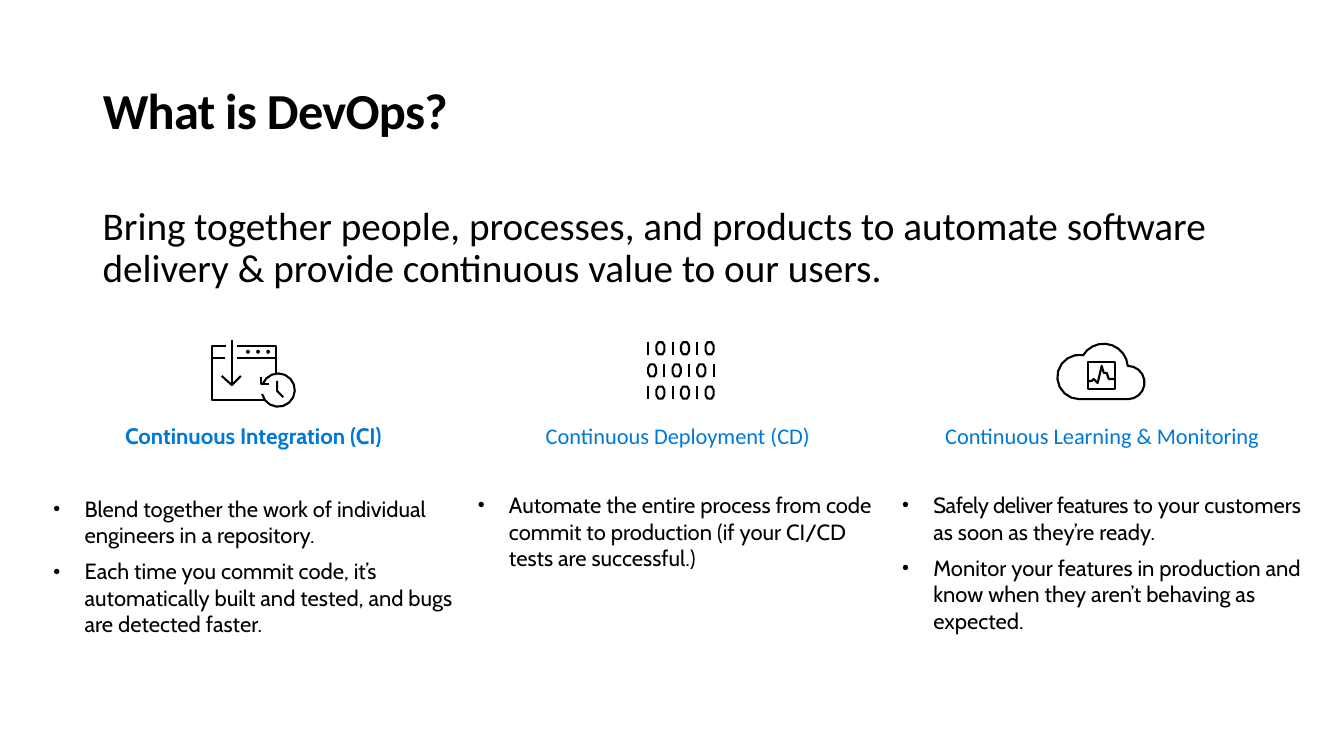
import math

import pptx
import pptx.dml.color
import pptx.enum.text
import pptx.util
from lxml import etree
from pptx.oxml.ns import qn
from pptx.util import Inches

COLORS = {"text": "000000", "heading": "0078D7", "paper": "FFFFFF"}
ALIGN = pptx.enum.text.PP_ALIGN
ANCHOR = pptx.enum.text.MSO_ANCHOR

COLUMN_LEFT, COLUMN_PITCH = 0.53, 4.21
PILLARS = [
    {
        "heading": "Continuous Integration (CI)",
        "style": {"font": "Cabin", "bold": True},
        "gap": 33,
        "height": 2.85,
        "bullets": [
            [("Blend together the work of individual engineers in a repository.", 0)],
            [("Each time you commit code, it’s automatically built and tested, "
              "and bugs are detected faster.", 0)],
        ],
    },
    {
        "heading": "Continuous Deployment (CD)",
        "style": {"font": "Calibri"},
        "gap": 30.3,
        "height": 2.85,
        "bullets": [
            [("Automate the entire process from code commit to production "
              "(if your CI/CD tests are successful.)", 0)],
        ],
    },
    {
        "heading": "Continuous Learning & Monitoring",
        "style": {"font": "Calibri"},
        "gap": 30.3,
        "height": 2.11,
        "bullets": [
            [("Safely deliver features", -0.3),
             (" to your customers as soon as they’re ready.", 0)],
            [("Monitor your features in production and know when they "
              "aren’t behaving as expected.", 0)],
        ],
    },
]


def rgb(name):
    return pptx.dml.color.RGBColor.from_string(COLORS[name])


def write(paragraph, text, font="Calibri", size=16, color="text", bold=False, spacing=0):
    run = paragraph.add_run()
    run.text = text
    run.font.name = font
    run.font.size = pptx.util.Pt(size)
    run.font.bold = bold
    run.font.color.rgb = rgb(color)
    if spacing:
        run._r.get_or_add_rPr().set("spc", str(round(spacing * 100)))


def add_text_frame(slide, left, top, width, height):
    box = slide.shapes.add_textbox(Inches(left), Inches(top), Inches(width), Inches(height))
    box.text_frame.word_wrap = True
    return box.text_frame


def add_bullet(paragraph):
    properties = paragraph._p.get_or_add_pPr()
    properties.set("marL", str(Inches(0.31)))
    properties.set("indent", str(-Inches(0.31)))
    etree.SubElement(properties, qn("a:buSzPct")).set("val", "90000")
    etree.SubElement(properties, qn("a:buFont")).set("typeface", "Arial")
    etree.SubElement(properties, qn("a:buChar")).set("char", "•")


def add_pillar(slide, column, pillar):
    frame = add_text_frame(
        slide, COLUMN_LEFT + column * COLUMN_PITCH, 4.19, 3.97, pillar["height"])
    frame.margin_left = frame.margin_right = frame.margin_top = frame.margin_bottom = 0
    heading = frame.paragraphs[0]
    heading.alignment = ALIGN.CENTER
    heading.space_after = pptx.util.Pt(pillar["gap"])
    write(heading, pillar["heading"], color="heading", **pillar["style"])
    for pieces in pillar["bullets"]:
        bullet = frame.add_paragraph()
        bullet.space_after = pptx.util.Pt(7)
        add_bullet(bullet)
        for text, spacing in pieces:
            write(bullet, text, font="Cabin", size=15.7, spacing=spacing)


def arc(x, y, radius, start, end, steps=9):
    """Points along an arc; degrees run clockwise from the right."""
    angles = [math.radians(start + (end - start) * i / steps) for i in range(steps + 1)]
    return [(x + radius * math.cos(a), y + radius * math.sin(a)) for a in angles]


def add_outline(slide, strokes, fill=None):
    """Draw (points, closed) strokes as one shape."""
    builder = None
    for points, closed in strokes:
        start, *rest = [(Inches(x), Inches(y)) for x, y in points]
        if builder is None:
            builder = slide.shapes.build_freeform(*start, scale=1.0)
        else:
            builder.move_to(*start)
        builder.add_line_segments(rest, close=closed)
    outline = builder.convert_to_shape()
    outline.shadow.inherit = False
    if fill:
        outline.fill.solid()
        outline.fill.fore_color.rgb = rgb(fill)
    else:
        outline.fill.background()
    outline.line.color.rgb = rgb("text")
    outline.line.width = pptx.util.Pt(1.5)
    return outline


def add_integration_icon(slide):
    frame = [(2.35, 3.43), (2.74, 3.43), (2.74, 3.97), (2.1, 3.97), (2.1, 3.43), (2.24, 3.43)]
    window_lines = [
        frame,
        [(2.35, 3.55), (2.74, 3.55)],
        [(2.1, 3.55), (2.23, 3.55)],
        [(2.2, 3.73), (2.3, 3.82), (2.39, 3.73)],
        [(2.3, 3.37), (2.3, 3.82)],
    ]
    strokes = [(line, False) for line in window_lines]
    strokes += [(arc(x, 3.49, 0.01, 0, 270, steps=3), True) for x in (2.46, 2.56, 2.66)]
    window = add_outline(slide, strokes, fill="paper")
    clock_lines = [
        [(2.81, 3.94), (2.75, 3.88), (2.75, 3.78)],
        [(2.59, 3.74), (2.59, 3.81), (2.67, 3.81)],
        arc(2.76, 3.87, 0.165, 166, -159, steps=14),
    ]
    clock = add_outline(slide, [(line, False) for line in clock_lines], fill="paper")
    slide.shapes.add_group_shape([window, clock])


def add_binary_icon(slide):
    strokes = []
    for row, digits in enumerate(("101010", "010101", "101010")):
        top = 3.39 + 0.22 * row
        left = 6.47 if digits[0] == "0" else 6.43
        for place, digit in enumerate(digits):
            x = left + 0.122 * place
            if digit == "1":
                strokes.append(([(x, top), (x, top + 0.13)], False))
            else:
                zero = (arc(x, top + 0.04, 0.04, 180, 360, steps=3)
                        + arc(x, top + 0.09, 0.04, 0, 180, steps=3))
                strokes.append((zero, True))
    add_outline(slide, strokes)


def add_monitoring_icon(slide):
    lobes = (arc(10.71, 3.74, 0.22, 90, 280) + arc(10.95, 3.65, 0.24, 211, 355)
             + arc(11.19, 3.795, 0.165, -90, 90))
    cloud = add_outline(slide, [(lobes, True)])
    screen = [(10.79, 3.86), (10.79, 3.59), (11.06, 3.59), (11.06, 3.86)]
    pulse = [(11.06, 3.76), (11, 3.76), (10.98, 3.7), (10.95, 3.7), (10.93, 3.63),
             (10.89, 3.8), (10.85, 3.76), (10.83, 3.78), (10.79, 3.78)]
    monitor = add_outline(slide, [(screen, True), (pulse, False)])
    slide.shapes.add_group_shape([cloud, monitor])


def main():
    deck = pptx.Presentation()
    deck.slide_width, deck.slide_height = Inches(40 / 3), Inches(7.5)
    slide = deck.slides.add_slide(deck.slide_layouts[5])

    # Title
    title = slide.shapes.title
    title.left, title.top = Inches(0.92), Inches(0.4)
    title.width, title.height = Inches(11.5), Inches(1.45)
    title.text_frame.vertical_anchor = ANCHOR.MIDDLE
    question = title.text_frame.paragraphs[0]
    question.alignment = ALIGN.LEFT
    question.line_spacing = 0.9
    write(question, "What is DevOps?", size=36, bold=True, spacing=-0.5)

    # Definition
    definition = add_text_frame(slide, 0.92, 2, 11.5, 4.76).paragraphs[0]
    definition.line_spacing = 0.9
    write(definition, "Bring together people, processes, and products to automate "
          "software delivery & provide continuous value to our users.", size=28)

    # Three pillars and their icons
    for column, pillar in enumerate(PILLARS):
        add_pillar(slide, column, pillar)
    add_integration_icon(slide)
    add_binary_icon(slide)
    add_monitoring_icon(slide)

    deck.save("out.pptx")


if __name__ == "__main__":
    main()
